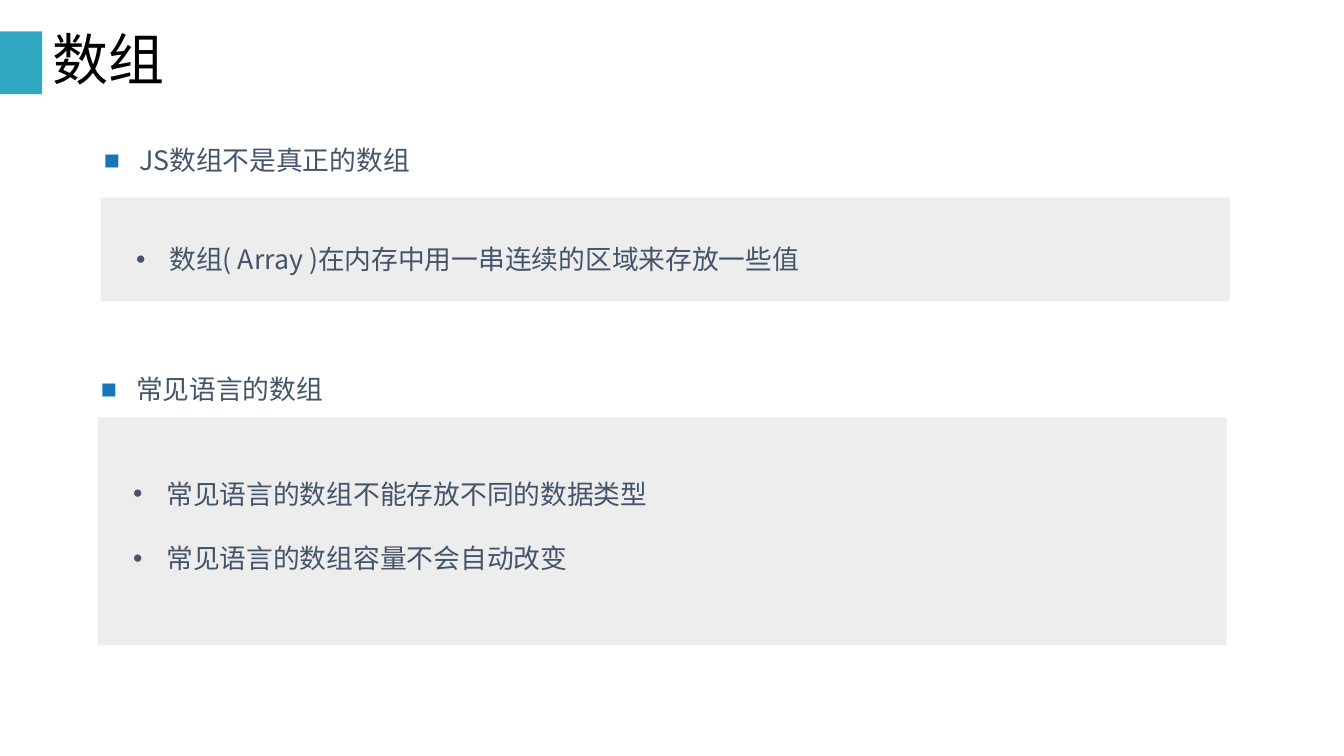
from pptx import Presentation
from pptx.dml.color import RGBColor
from pptx.enum import shapes, text
from pptx.oxml import ns, xmlchemy
from pptx.util import Pt

# Content
TITLE = "数组"
SECTIONS = [
    {
        "heading": "JS数组不是真正的数组",
        "points": ["数组( Array )在内存中用一串连续的区域来存放一些值"],
        "left": 72, "heading_top": 87.8,
        "panel_top": 141.1, "panel_height": 74.2, "list_top": 146.9,
    },
    {
        "heading": "常见语言的数组",
        "points": ["常见语言的数组不能存放不同的数据类型", "常见语言的数组容量不会自动改变"],
        "left": 69.8, "heading_top": 251.3,
        "panel_top": 298.1, "panel_height": 162.7, "list_top": 314.6,
    },
]

# Format
FONT = "Noto Sans CJK SC"
TEAL = RGBColor(0x30, 0xA8, 0xC4)
BLUE = RGBColor(0x15, 0x77, 0xBA)
SLATE = RGBColor(0x44, 0x54, 0x6A)
GREY = RGBColor(0xED, 0xED, 0xED)
BLACK = RGBColor(0, 0, 0)
PANEL_WIDTH, LIST_WIDTH = 806.4, 781
LIST_INSET = 23
LINE_HEIGHT = 46.4
HEADING = {"bullet": "■", "bullet_color": BLUE, "indent": 25.2, "spacing": 1.5}
POINT = {"bullet": "•", "bullet_color": SLATE, "indent": 23.8, "spacing": 2.0}
BODY_FRAME = {
    "margin_left": Pt(2.2), "margin_right": Pt(2.2),
    "margin_top": Pt(3.6), "margin_bottom": Pt(3.6),
    "vertical_anchor": text.MSO_ANCHOR.TOP,
}


def apply(target, values):
    for name, value in values.items():
        setattr(target, name, value)


def place(shape, left, top, width, height):
    apply(shape, {"left": Pt(left), "top": Pt(top), "width": Pt(width), "height": Pt(height)})


def add_child(parent, tag, **attributes):
    child = xmlchemy.OxmlElement(tag)
    for name, value in attributes.items():
        child.set(name, value)
    parent.append(child)
    return child


def write(shape, lines, size, color, spacing, frame_format):
    frame = shape.text_frame
    frame.text = "\n".join(lines)
    apply(frame, {"word_wrap": True, "auto_size": text.MSO_AUTO_SIZE.NONE, **frame_format})
    for paragraph in frame.paragraphs:
        apply(paragraph, {"alignment": text.PP_ALIGN.LEFT, "line_spacing": spacing,
                          "space_before": Pt(0), "space_after": Pt(0)})
        for run in paragraph.runs:
            apply(run.font, {"name": FONT, "size": Pt(size), "bold": False})
            run.font.color.rgb = color
            add_child(run.font._element, "a:ea", typeface=FONT)


def write_list(shape, lines, style):
    write(shape, lines, 19.1, SLATE, style["spacing"], BODY_FRAME)
    for paragraph in shape.text_frame.paragraphs:
        properties = paragraph._p.get_or_add_pPr()
        indent = Pt(style["indent"])
        properties.set("marL", str(indent))
        properties.set("indent", str(-indent))
        bullet_color = add_child(properties, "a:buClr")
        add_child(bullet_color, "a:srgbClr", val=str(style["bullet_color"]))
        add_child(properties, "a:buFont", typeface="Arial")
        add_child(properties, "a:buChar", char=style["bullet"])


def add_block(slide, color, *box):
    block = slide.shapes.add_shape(shapes.MSO_SHAPE.RECTANGLE, 0, 0, 0, 0)
    place(block, *box)
    block.shadow.inherit = False
    block.fill.solid()
    block.fill.fore_color.rgb = color
    block.line.fill.background()
    # Blocks sit behind the text
    slide.shapes.title.element.addprevious(block.element)


def main():
    presentation = Presentation()
    apply(presentation, {"slide_width": Pt(960), "slide_height": Pt(540)})
    slide = presentation.slides.add_slide(presentation.slide_layouts.get_by_name("Comparison"))
    bodies = {item.placeholder_format.idx: item for item in slide.placeholders}

    # Title and accent
    add_block(slide, TEAL, 0, 22.5, 30.2, 44.8)
    place(slide.shapes.title, 30.2, 21.6, 900, 46)
    write(slide.shapes.title, [TITLE], 40, BLACK, 0.9,
          {"vertical_anchor": text.MSO_ANCHOR.MIDDLE})

    # Sections: heading, grey panel, list
    for number, section in enumerate(SECTIONS):
        heading, points = bodies[2 * number + 1], bodies[2 * number + 2]
        left = section["left"]
        add_block(slide, GREY, left, section["panel_top"], PANEL_WIDTH, section["panel_height"])
        place(heading, left, section["heading_top"], LIST_WIDTH, 38.2)
        write_list(heading, [section["heading"]], HEADING)
        place(points, left + LIST_INSET, section["list_top"], LIST_WIDTH,
              LINE_HEIGHT * len(section["points"]))
        write_list(points, section["points"], POINT)

    presentation.save("out.pptx")


if __name__ == "__main__":
    main()
